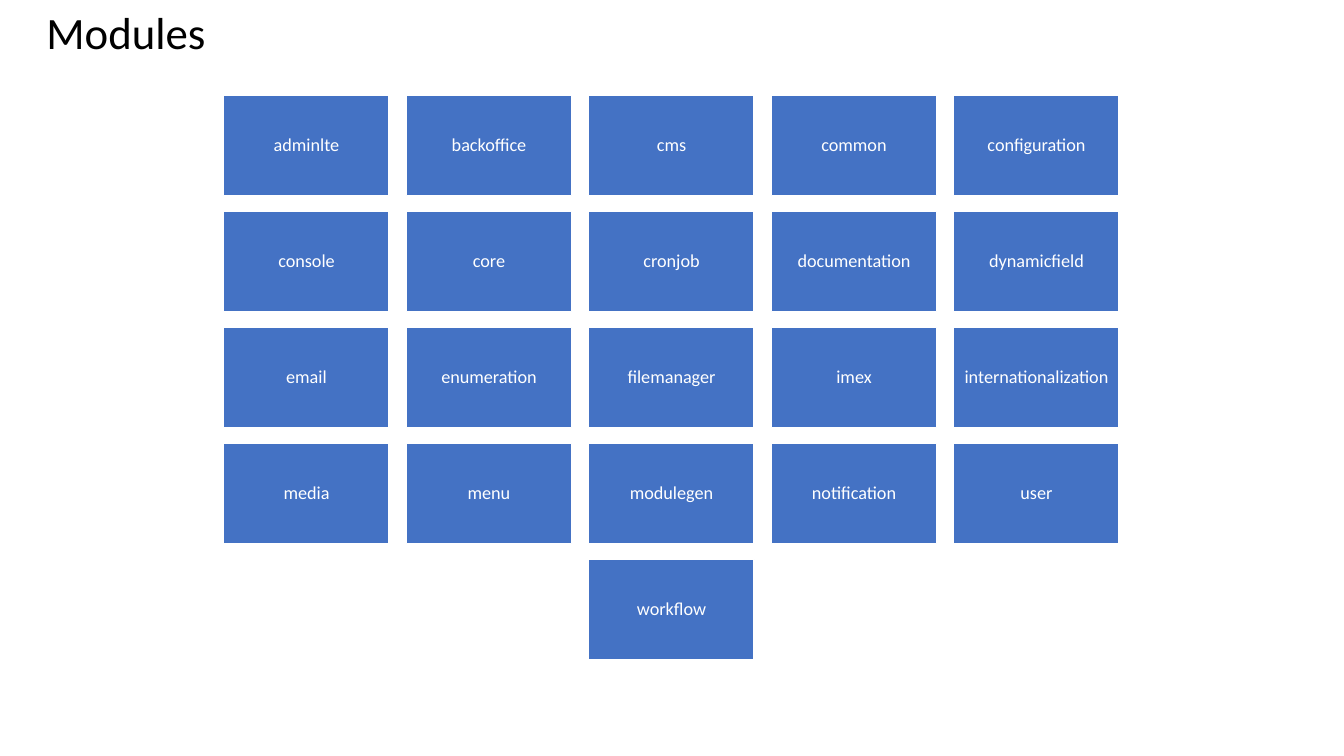
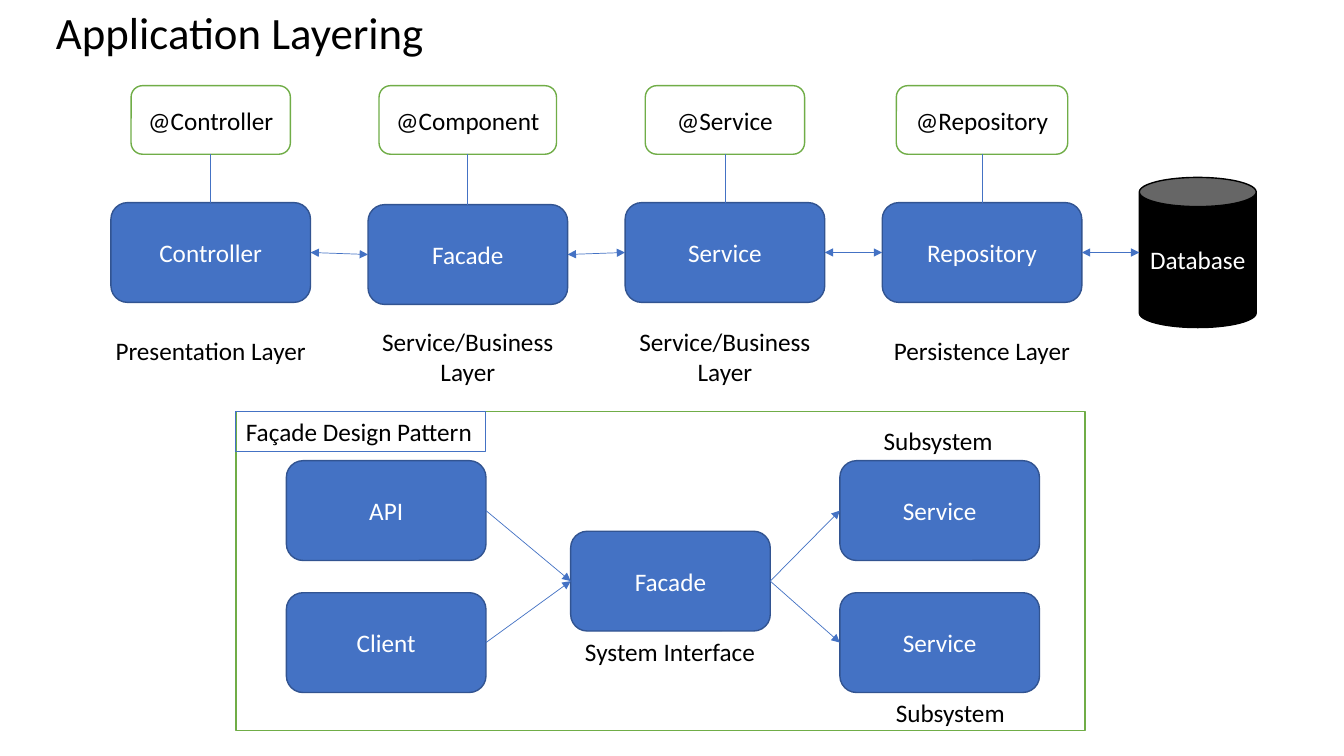
import dataclasses
import lxml.etree
import pptx
import pptx.dml.color
import pptx.enum.shapes
import pptx.enum.text
import pptx.oxml.ns
import pptx.util

Inches = pptx.util.Inches
Pt = pptx.util.Pt
Shape = pptx.enum.shapes.MSO_SHAPE
Align = pptx.enum.text.PP_ALIGN
Anchor = pptx.enum.text.MSO_ANCHOR


@dataclasses.dataclass(frozen=True)
class Theme:
    font: str = "Calibri"
    blue: str = "4472C4"
    dark_blue: str = "325491"
    green: str = "70AD47"
    black: str = "000000"
    white: str = "FFFFFF"
    title_size: int = 32
    body_size: int = 18
    module_size: int = 13


theme = Theme()
rgb = pptx.dml.color.RGBColor.from_string


def add_box(page, text, left, top, width, height, kind=None, fill=None, line=None,
            color=theme.black, size=theme.body_size, align=Align.CENTER,
            anchor=Anchor.MIDDLE, weight=1):
    area = [Inches(value) for value in (left, top, width, height)]
    if kind is None:
        box = page.shapes.add_textbox(*area)
    else:
        box = page.shapes.add_shape(kind, *area)
        box.shadow.inherit = False
        box.line.color.rgb = rgb(line)
        box.line.width = Pt(weight)
        if fill:
            box.fill.solid()
            box.fill.fore_color.rgb = rgb(fill)
        else:
            box.fill.background()
    frame = box.text_frame
    frame.word_wrap = True
    frame.vertical_anchor = anchor
    frame.text = text
    para = frame.paragraphs[0]
    para.alignment = align
    for span in para.runs:
        span.font.name = theme.font
        span.font.size = Pt(size)
        span.font.color.rgb = rgb(color)
    return box


def add_link(page, start, start_site, end, end_site, arrows=()):
    link = page.shapes.add_connector(
        pptx.enum.shapes.MSO_CONNECTOR.STRAIGHT,
        start.left + start.width, start.top + start.height // 2,
        end.left, end.top + end.height // 2)
    link.begin_connect(start, start_site)
    if end_site is not None:
        link.end_connect(end, end_site)
    link.line.color.rgb = rgb(theme.blue)
    link.line.width = Pt(0.5)
    outline = link.line._get_or_add_ln()
    for arrow in arrows:
        lxml.etree.SubElement(outline, pptx.oxml.ns.qn("a:" + arrow), type="triangle")
    lxml.etree.SubElement(link._element.spPr, pptx.oxml.ns.qn("a:effectLst"))


deck = pptx.Presentation()
deck.slide_width = Inches(13.33)
deck.slide_height = Inches(7.5)

pages = []
for title, title_width in (("Modules", 2.5), ("Application Layering", 4.76)):
    page = deck.slides.add_slide(deck.slide_layouts[6])
    add_box(page, title, 0, 0, title_width, 0.64, size=theme.title_size, anchor=Anchor.TOP)
    pages.append(page)
modules_page, layering_page = pages

modules = [
    "adminlte", "backoffice", "cms", "common", "configuration",
    "console", "core", "cronjob", "documentation", "dynamicfield",
    "email", "enumeration", "filemanager", "imex", "internationalization",
    "media", "menu", "modulegen", "notification", "user",
    "workflow",
]
columns = 5
tile_width, tile_height = 1.64, 0.99
column_step, row_step = 1.81, 1.15
grid_center = 6.66
for row, first in enumerate(range(0, len(modules), columns)):
    names = modules[first:first + columns]
    row_left = grid_center - ((len(names) - 1) * column_step + tile_width) / 2
    for column, name in enumerate(names):
        tile = add_box(modules_page, name, row_left + column * column_step,
                       0.95 + row * row_step, tile_width, tile_height, Shape.RECTANGLE,
                       theme.blue, theme.white, theme.white, theme.module_size)
        frame = tile.text_frame
        frame.margin_left = frame.margin_right = Inches(0.05)
        frame.margin_top = frame.margin_bottom = Inches(0.05)
        frame.paragraphs[0].line_spacing = 0.9

block_width, block_height = 1.98, 0.99
label_width = 2.43
block_style = dict(kind=Shape.ROUNDED_RECTANGLE, fill=theme.blue,
                   line=theme.dark_blue, color=theme.white)
both_ends = ("headEnd", "tailEnd")

layers = [
    ("Controller", 2.01, "@Controller", 1.58, "Presentation Layer", 3.28, 0.4),
    ("Facade", 2.03, "@Component", 1.76, "Service/Business Layer", 3.19, 0.71),
    ("Service", 2.01, "@Service", 1.58, "Service/Business Layer", 3.19, 0.71),
    ("Repository", 2.01, "@Repository", 1.7, "Persistence Layer", 3.28, 0.4),
]
previous = None
for index, layer in enumerate(layers):
    name, top, annotation, tag_width, label, label_top, label_height = layer
    center = 2.09 + index * 2.55
    block = add_box(layering_page, name, center - block_width / 2, top,
                    block_width, block_height, **block_style)
    tag = add_box(layering_page, annotation, center - tag_width / 2, 0.85, tag_width, 0.68,
                  Shape.ROUNDED_RECTANGLE, theme.white, theme.green)
    add_box(layering_page, label, center - label_width / 2, label_top,
            label_width, label_height, anchor=Anchor.TOP)
    add_link(layering_page, tag, 2, block, 0)
    if previous:
        add_link(layering_page, previous, 3, block, 1, both_ends)
    previous = block

database = add_box(layering_page, "Database", 11.3, 1.76, 1.16, 1.49, Shape.CAN,
                   theme.black, theme.black, theme.white)
add_link(layering_page, previous, 3, database, None, both_ends)

add_box(layering_page, "", 2.34, 4.08, 8.42, 3.17, Shape.RECTANGLE, theme.white, theme.green)
add_box(layering_page, "Façade Design Pattern", 2.34, 4.08, 2.48, 0.4, Shape.RECTANGLE,
        line=theme.blue, align=Align.LEFT, anchor=Anchor.TOP, weight=0.75)

facade = add_box(layering_page, "Facade", 5.66, 5.27, block_width, block_height, **block_style)
for top, caller_name in ((4.57, "API"), (5.88, "Client")):
    caller = add_box(layering_page, caller_name, 2.84, top,
                     block_width, block_height, **block_style)
    subsystem = add_box(layering_page, "Service", 8.33, top,
                        block_width, block_height, **block_style)
    add_link(layering_page, caller, 3, facade, 1, ("tailEnd",))
    add_link(layering_page, facade, 3, subsystem, 1, ("tailEnd",))

for label, left, top in (("System Interface", 5.43, 6.26),
                         ("Subsystem", 8.09, 4.17),
                         ("Subsystem", 8.21, 6.87)):
    add_box(layering_page, label, left, top, label_width, 0.4, anchor=Anchor.TOP)

deck.save("out.pptx")
